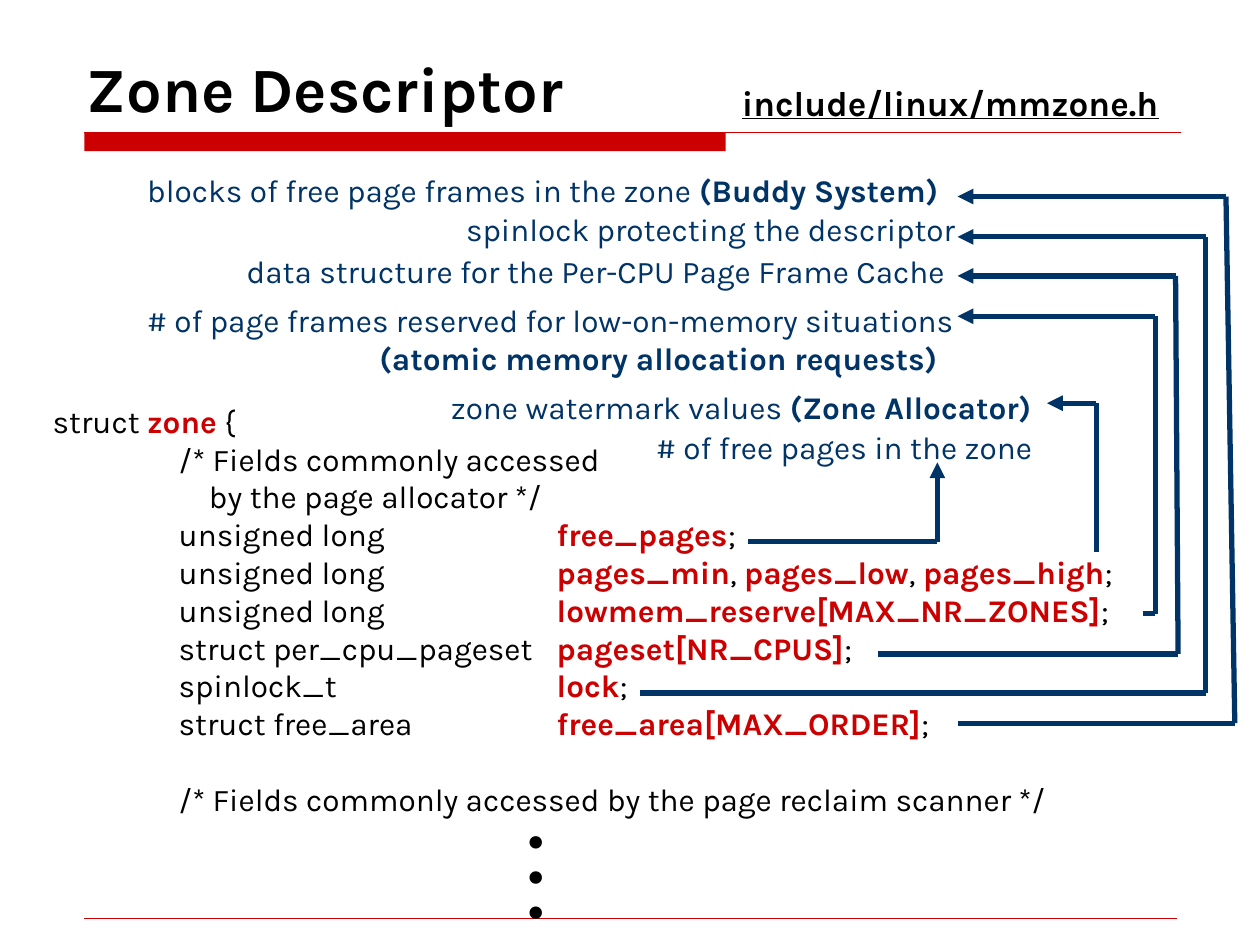
"""Build the Zone Descriptor slide."""
from itertools import pairwise

from pptx import Presentation
from pptx.dml.color import RGBColor
from pptx.enum.shapes import MSO_CONNECTOR, MSO_SHAPE
from pptx.enum.text import MSO_ANCHOR, MSO_AUTO_SIZE, PP_ALIGN
from pptx.oxml.xmlchemy import OxmlElement
from pptx.util import Inches, Pt

COLORS = {"ink": "000000", "accent": "CC0000", "note": "003366"}
FORMATS = {
    "title": ("ink", {"name": "Karla", "size": Pt(36), "bold": True}),
    "header": ("ink", {"name": "Karla", "size": Pt(20), "bold": True, "underline": True}),
    "code": ("ink", {"name": "Karla", "size": Pt(18), "bold": False}),
    "field": ("accent", {"name": "Karla", "size": Pt(18), "bold": True}),
    "note": ("note", {"name": "Karla", "size": Pt(18), "bold": False}),
    "strong": ("note", {"name": "Karla", "size": Pt(18), "bold": True}),
    "ellipsis": ("ink", {"name": "Times New Roman", "size": Pt(60), "bold": False}),
}
FIELDS = [
    ("unsigned long\t\t", ["free_pages"]),
    ("unsigned long\t\t", ["pages_min", "pages_low", "pages_high"]),
    ("unsigned long\t\t", ["lowmem_reserve[MAX_NR_ZONES]"]),
    ("struct per_cpu_pageset\t", ["pageset[NR_CPUS]"]),
    ("spinlock_t\t\t", ["lock"]),
    ("struct free_area\t\t", ["free_area[MAX_ORDER]"]),
]
NOTES = [
    ((5.11, 3.35, 3.34, 0.4), [("# of free pages in the zone", "note")]),
    ((3.48, 3.03, 5, 0.4), [("zone watermark values ", "note"), ("(Zone Allocator)", "strong")]),
    ((1.86, 1.95, 6.06, 0.4), [("data structure for the Per-CPU Page Frame Cache", "note")]),
    ((3.6, 1.62, 4.22, 0.4), [("spinlock protecting the descriptor", "note")]),
    ((1.07, 1.31, 6.75, 0.4),
     [("blocks of free page frames in the zone ", "note"), ("(Buddy System)", "strong")]),
]
ROUTES = [
    [(5.94, 4.3), (7.44, 4.3), (7.44, 3.67)],
    [(8.7, 4.38), (8.7, 3.2), (8.31, 3.2)],
    [(9.07, 4.87), (9.17, 4.87), (9.17, 2.51), (7.6, 2.51)],
    [(6.97, 5.19), (9.35, 5.19), (9.33, 2.19), (7.6, 2.19)],
    [(5.08, 5.5), (9.57, 5.5), (9.57, 1.88), (7.6, 1.88)],
    [(7.6, 5.74), (9.8, 5.74), (9.73, 1.56), (7.6, 1.56)],
]


def color(key):
    """Return the named colour."""
    return RGBColor.from_string(COLORS[key])


def fill_paragraph(paragraph, pieces):
    """Write (text, format) pieces as runs."""
    for text, style in pieces:
        run = paragraph.add_run()
        run.text = text
        color_key, values = FORMATS[style]
        for attribute, value in values.items():
            setattr(run.font, attribute, value)
        run.font.color.rgb = color(color_key)


def set_margin(paragraph, side, inches):
    """Indent one side of a paragraph."""
    paragraph._p.get_or_add_pPr().set(side, str(Inches(inches)))


def add_inch_tabs(paragraph):
    """Put a left tab stop on every inch."""
    stops = OxmlElement("a:tabLst")
    for inch in range(8):
        stop = OxmlElement("a:tab")
        stop.set("pos", str(Inches(inch)))
        stop.set("algn", "l")
        stops.append(stop)
    paragraph._p.get_or_add_pPr().append(stops)


def add_text(slide, box, lines, wrap=False):
    """Add a text box with one paragraph per line and return its frame."""
    frame = slide.shapes.add_textbox(*map(Inches, box)).text_frame
    frame.word_wrap = wrap
    frame.auto_size = MSO_AUTO_SIZE.SHAPE_TO_FIT_TEXT
    for index, pieces in enumerate(lines):
        paragraph = frame.add_paragraph() if index else frame.paragraphs[0]
        fill_paragraph(paragraph, pieces)
    return frame


def add_line(slide, start, end, color_key, width, arrow=False):
    """Draw a straight line, with an arrowhead at its end if asked."""
    line = slide.shapes.add_connector(MSO_CONNECTOR.STRAIGHT, *map(Inches, start + end))
    line.line.color.rgb = color(color_key)
    line.line.width = Pt(width)
    if arrow:
        head = OxmlElement("a:tailEnd")
        head.set("type", "triangle")
        line.line._get_or_add_ln().append(head)
    line._element.spPr.append(OxmlElement("a:effectLst"))


def add_route(slide, points):
    """Draw a bent arrow from a field to its note."""
    for start, end in pairwise(points):
        add_line(slide, start, end, "note", 3, arrow=end == points[-1])


def add_rules(slide):
    """Draw the title bar and the two thin rules."""
    bar = slide.shapes.add_shape(
        MSO_SHAPE.RECTANGLE, *map(Inches, (0.67, 1.05, 5.09, 0.15)))
    bar.shadow.inherit = False
    bar.fill.solid()
    bar.fill.fore_color.rgb = color("accent")
    bar.line.fill.background()
    add_line(slide, (0.67, 1.05), (9.37, 1.05), "accent", 0.75)
    add_line(slide, (0.67, 7.29), (9.34, 7.29), "accent", 0.25)


def add_title(slide):
    """Place and write the title."""
    title = slide.shapes.title
    title.left, title.top, title.width, title.height = map(Inches, (0.59, 0.21, 8.75, 0.83))
    frame = title.text_frame
    frame.vertical_anchor = MSO_ANCHOR.BOTTOM
    frame.auto_size = MSO_AUTO_SIZE.NONE
    frame.paragraphs[0].alignment = PP_ALIGN.LEFT
    fill_paragraph(frame.paragraphs[0], [("Zone Descriptor", "title")])


def field_line(type_name, names):
    """Return the pieces of one struct member."""
    pieces = [("\t" + type_name, "code")]
    for name in names:
        pieces += [(name, "field"), (", ", "code")]
    return pieces[:-1] + [(";", "code")]


def add_struct(slide):
    """Write the struct definition."""
    lines = [
        [("struct ", "code"), ("zone", "field"), (" {", "code")],
        [("\t/* Fields commonly accessed", "code")],
        [("by the page allocator */", "code")],
        *(field_line(*field) for field in FIELDS),
        [("\t/* Fields commonly accessed by the page reclaim scanner */", "code")],
    ]
    paragraphs = add_text(slide, (0.32, 3.14, 9.49, 3.4), lines, wrap=True).paragraphs
    set_margin(paragraphs[2], "marL", 1.24)
    paragraphs[-1].space_before = Pt(21.6)
    for paragraph in paragraphs:
        add_inch_tabs(paragraph)


def add_reserve_note(slide):
    """Write the right-aligned note on reserved page frames."""
    lines = [
        [("# of page frames reserved for low-on-memory situations", "note")],
        [("(atomic memory allocation requests)", "strong")],
    ]
    paragraphs = add_text(slide, (0.98, 2.34, 6.69, 0.7), lines, wrap=True).paragraphs
    for paragraph in paragraphs:
        paragraph.alignment = PP_ALIGN.RIGHT
    set_margin(paragraphs[1], "marR", 0.13)


def add_ellipsis(slide):
    """Write the vertical ellipsis below the struct."""
    frame = add_text(slide, (3.9, 6.45, 1.2, 0.93), [[("…", "ellipsis")]], wrap=True)
    frame.margin_left = frame.margin_right = Inches(0.05)
    frame.margin_top = frame.margin_bottom = Inches(0.1)
    frame._txBody.bodyPr.set("vert", "eaVert")


def main():
    """Build and save the slide."""
    deck = Presentation()
    deck.slide_width, deck.slide_height = Inches(10), Inches(7.5)
    slide = deck.slides.add_slide(deck.slide_layouts[5])
    add_rules(slide)
    add_title(slide)
    add_struct(slide)
    add_text(slide, (5.79, 0.6, 3.57, 0.44), [[("include/linux/mmzone.h", "header")]])
    add_ellipsis(slide)
    add_reserve_note(slide)
    for box, pieces in NOTES:
        add_text(slide, box, [pieces])
    for points in ROUTES:
        add_route(slide, points)
    deck.save("out.pptx")


if __name__ == "__main__":
    main()
